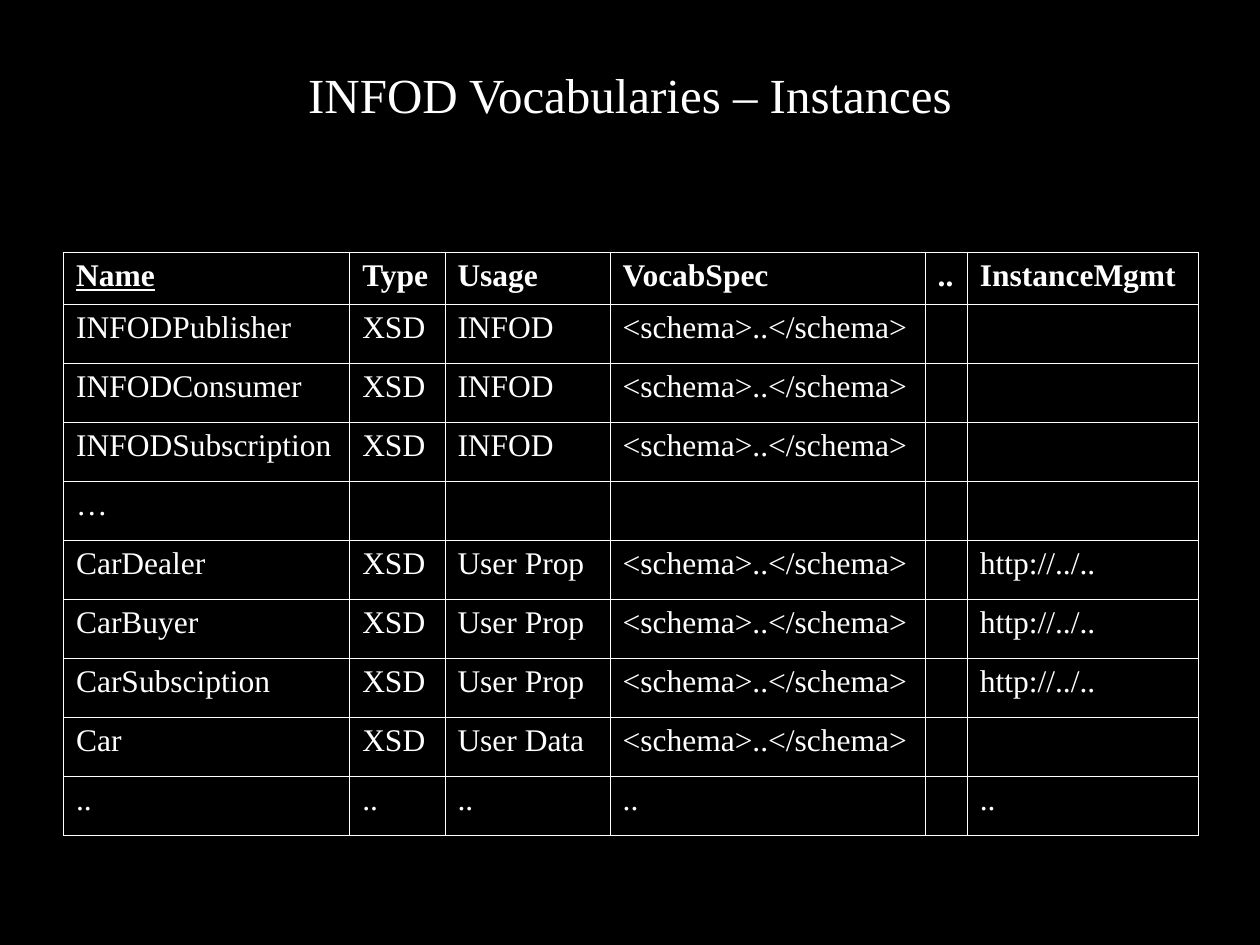
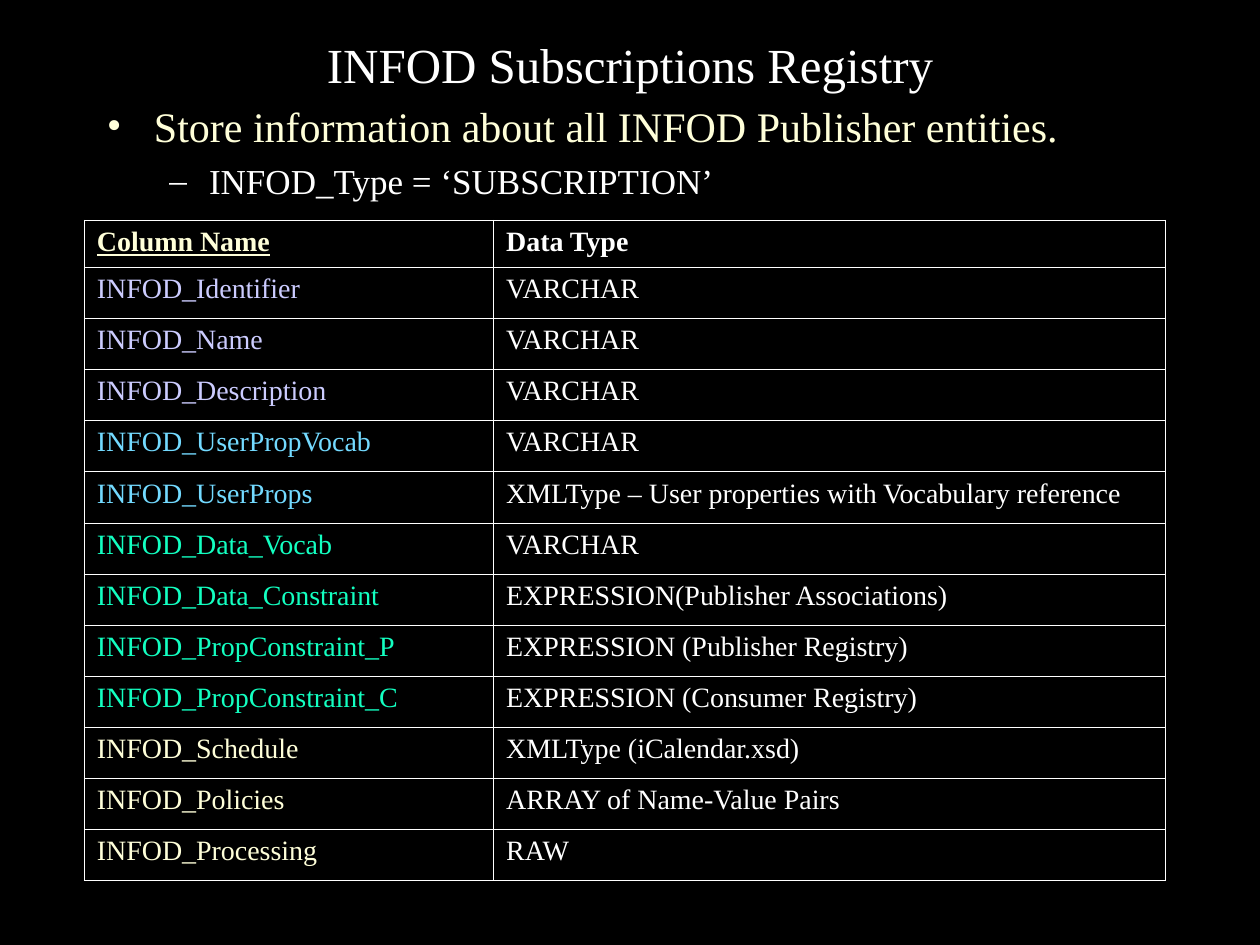
from dataclasses import dataclass

from lxml.etree import SubElement
from pptx import Presentation
from pptx.dml.color import RGBColor
from pptx.enum.text import MSO_ANCHOR, MSO_AUTO_SIZE, PP_ALIGN
from pptx.oxml import parse_xml
from pptx.oxml.ns import nsdecls, qn
from pptx.util import Cm, Pt


@dataclass(frozen=True)
class Theme:
    font: str = "Times New Roman"
    background: str = "000000"
    white: str = "FFFFFF"
    cream: str = "FFFFD9"
    lilac: str = "CCCCFF"
    sky: str = "73DAFF"
    mint: str = "13FFC1"
    title_size: int = 28
    bullet_size: int = 24
    dash_size: int = 20
    vocabulary_size: int = 18
    registry_size: int = 16
    border_width: float = 0.45


THEME = Theme()
TITLE_ONLY, TITLE_AND_CONTENT = 5, 1

SCHEMA = "<schema>..</schema>"
INSTANCES = "http://../.."
VOCABULARY_HEADER = ["Name", "Type", "Usage", "VocabSpec", "..", "InstanceMgmt"]
VOCABULARIES = [
    ["INFODPublisher", "XSD", "INFOD", SCHEMA, "", ""],
    ["INFODConsumer", "XSD", "INFOD", SCHEMA, "", ""],
    ["INFODSubscription", "XSD", "INFOD", SCHEMA, "", ""],
    ["…", "", "", "", "", ""],
    ["CarDealer", "XSD", "User Prop", SCHEMA, "", INSTANCES],
    ["CarBuyer", "XSD", "User Prop", SCHEMA, "", INSTANCES],
    ["CarSubsciption", "XSD", "User Prop", SCHEMA, "", INSTANCES],
    ["Car", "XSD", "User Data", SCHEMA, "", ""],
    ["..", "..", "..", "..", "", ".."],
]

REGISTRY_HEADER = ["Column Name", "Data Type"]
REGISTRY_GROUPS = [
    (THEME.lilac, [
        ["INFOD_Identifier", "VARCHAR"],
        ["INFOD_Name", "VARCHAR"],
        ["INFOD_Description", "VARCHAR"],
    ]),
    (THEME.sky, [
        ["INFOD_UserPropVocab", "VARCHAR"],
        ["INFOD_UserProps", "XMLType – User properties with Vocabulary reference"],
    ]),
    (THEME.mint, [
        ["INFOD_Data_Vocab", "VARCHAR"],
        ["INFOD_Data_Constraint", "EXPRESSION(Publisher Associations)"],
        ["INFOD_PropConstraint_P", "EXPRESSION (Publisher Registry)"],
        ["INFOD_PropConstraint_C", "EXPRESSION (Consumer Registry)"],
    ]),
    (THEME.cream, [
        ["INFOD_Schedule", "XMLType (iCalendar.xsd)"],
        ["INFOD_Policies", "ARRAY of Name-Value Pairs"],
        ["INFOD_Processing", "RAW"],
    ]),
]


def add_run(paragraph, text, size, color=THEME.white, bold=False, underline=False):
    run = paragraph.add_run()
    run.text = text
    font = run.font
    font.name = THEME.font
    font.size = Pt(size)
    font.bold = bold
    font.underline = underline
    font.color.rgb = RGBColor.from_string(color)


def place(shape, left, top, width, height):
    """Set the box of a shape, in centimetres."""
    shape.left, shape.top = Cm(left), Cm(top)
    shape.width, shape.height = Cm(width), Cm(height)


def add_titled_slide(presentation, layout_index, text, top, height):
    slide = presentation.slides.add_slide(presentation.slide_layouts[layout_index])
    title = slide.shapes.title
    place(title, 1.9, top, 21.6, height)
    frame = title.text_frame
    frame.auto_size = MSO_AUTO_SIZE.NONE
    frame.vertical_anchor = MSO_ANCHOR.MIDDLE
    paragraph = frame.paragraphs[0]
    paragraph.alignment = PP_ALIGN.CENTER
    add_run(paragraph, text, THEME.title_size)
    return slide


def set_bullet(paragraph, character, color, left, hanging):
    properties = paragraph._p.get_or_add_pPr()
    properties.set("marL", str(Cm(left)))
    properties.set("indent", str(-Cm(hanging)))
    bullet_color = SubElement(properties, qn("a:buClr"))
    SubElement(bullet_color, qn("a:srgbClr"), val=color)
    SubElement(properties, qn("a:buFont"), typeface=THEME.font)
    SubElement(properties, qn("a:buChar"), char=character)


def fill_summary(body, point, detail):
    """Write one bulleted point with one dashed detail below it."""
    place(body, 1.9, 1.9, 22, 2.54)
    frame = body.text_frame
    frame.auto_size = MSO_AUTO_SIZE.NONE
    first = frame.paragraphs[0]
    set_bullet(first, "•", THEME.cream, left=0.95, hanging=0.95)
    first.space_before = Pt(0)
    add_run(first, point, THEME.bullet_size, THEME.cream)
    second = frame.add_paragraph()
    second.level = 1
    set_bullet(second, "–", THEME.white, left=2.06, hanging=0.8)
    second.space_before = Pt(5)
    add_run(second, detail, THEME.dash_size)


def set_borders(cell):
    properties = cell._tc.get_or_add_tcPr()
    for index, side in enumerate(("lnL", "lnR", "lnT", "lnB")):
        properties.insert(index, parse_xml(
            f'<a:{side} {nsdecls("a")} w="{Pt(THEME.border_width)}"><a:solidFill>'
            f'<a:srgbClr val="{THEME.white}"/></a:solidFill></a:{side}>'))


def add_grid(slide, rows, name_colors, left, top, widths, header_height, row_height, size):
    """Add a ruled table; name_colors gives the first column's colour row by row."""
    heights = [header_height] + [row_height] * (len(rows) - 1)
    frame = slide.shapes.add_table(len(rows), len(widths), Cm(left), Cm(top),
                                   Cm(sum(widths)), Cm(sum(heights)))
    table = frame.table
    table.first_row = table.horz_banding = False
    for column, width in zip(table.columns, widths):
        column.width = Cm(width)
    for row, height in zip(table.rows, heights):
        row.height = Cm(height)
    for row_index, texts in enumerate(rows):
        for column_index, text in enumerate(texts):
            cell = table.cell(row_index, column_index)
            cell.fill.background()
            set_borders(cell)
            if text:
                is_header, is_name = row_index == 0, column_index == 0
                color = name_colors[row_index] if is_name else THEME.white
                add_run(cell.text_frame.paragraphs[0], text, size, color,
                        bold=is_header, underline=is_header and is_name)


def add_vocabularies_slide(presentation):
    slide = add_titled_slide(presentation, TITLE_ONLY,
                             "INFOD Vocabularies – Instances", top=0.85, height=2.1)
    rows = [VOCABULARY_HEADER] + VOCABULARIES
    add_grid(slide, rows, [THEME.white] * len(rows), left=1.28, top=5.08,
             widths=[5.77, 1.92, 3.33, 6.35, 0.85, 4.65],
             header_height=1.05, row_height=1.19, size=THEME.vocabulary_size)


def add_registry_slide(presentation):
    slide = add_titled_slide(presentation, TITLE_AND_CONTENT,
                             "INFOD Subscriptions Registry", top=0.43, height=1.7)
    fill_summary(slide.placeholders[1],
                 "Store information about all INFOD Publisher entities.",
                 "INFOD_Type = ‘SUBSCRIPTION’")
    rows, name_colors = [REGISTRY_HEADER], [THEME.cream]
    for color, entries in REGISTRY_GROUPS:
        rows += entries
        name_colors += [color] * len(entries)
    add_grid(slide, rows, name_colors, left=1.7, top=4.44, widths=[8.25, 13.55],
             header_height=0.95, row_height=1.03, size=THEME.registry_size)


def main():
    presentation = Presentation()
    presentation.slide_width, presentation.slide_height = Cm(25.4), Cm(19.05)
    background = presentation.slide_master.background.fill
    background.solid()
    background.fore_color.rgb = RGBColor.from_string(THEME.background)
    add_vocabularies_slide(presentation)
    add_registry_slide(presentation)
    presentation.save("out.pptx")


if __name__ == "__main__":
    main()
